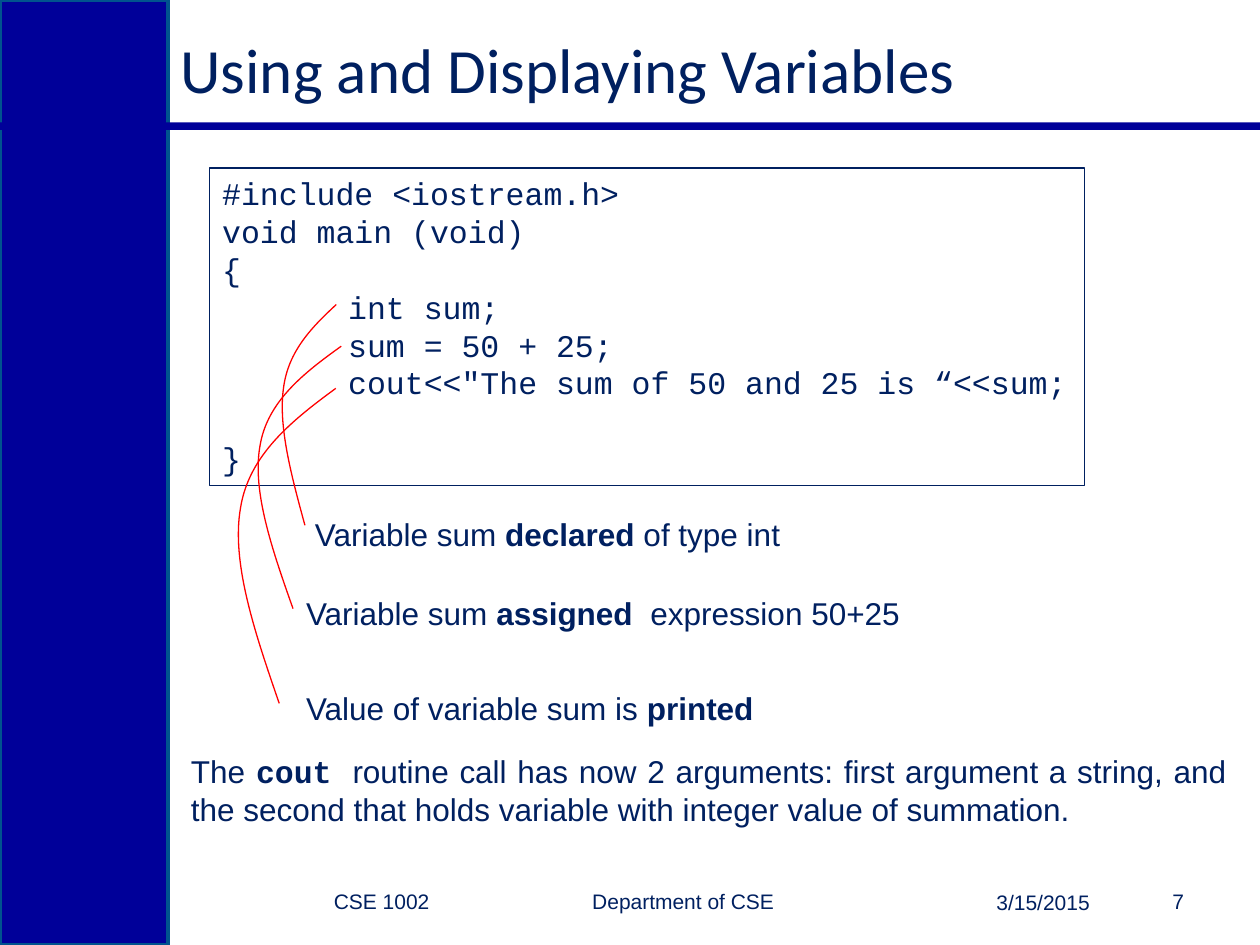
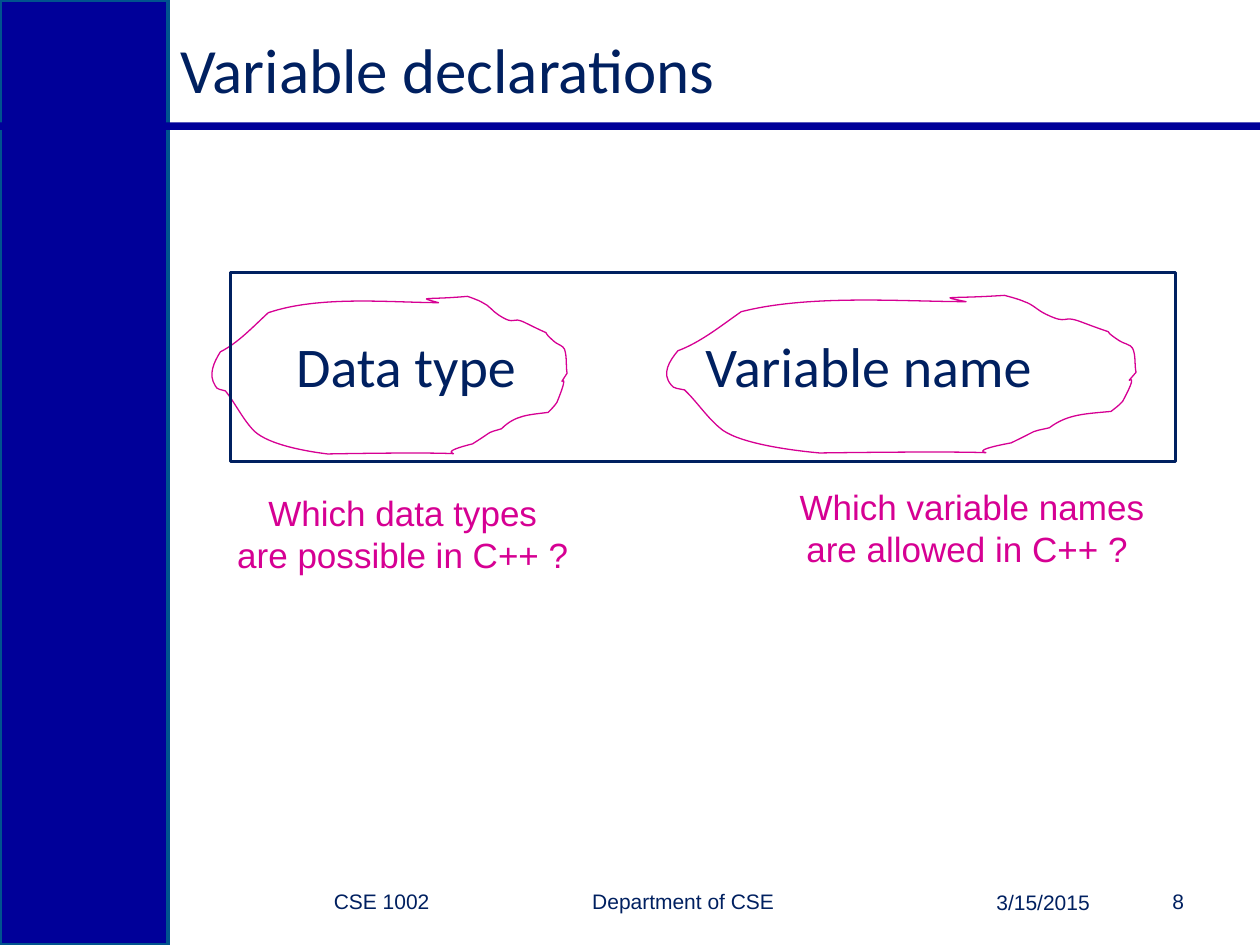
from pptx import Presentation
from pptx.dml.color import RGBColor
from pptx.enum.shapes import MSO_SHAPE
from pptx.enum.text import MSO_ANCHOR, MSO_AUTO_SIZE, PP_ALIGN
from pptx.oxml.ns import qn
from pptx.util import Cm, Pt
from lxml import etree

WHITE = RGBColor(0xFF, 0xFF, 0xFF)
BLUE = RGBColor(0x00, 0x00, 0x99)
EDGE = RGBColor(0x00, 0x53, 0x8E)
NAVY = RGBColor(0x00, 0x20, 0x60)
RED = RGBColor(0xFF, 0x00, 0x00)
PINK = RGBColor(0xD6, 0x00, 0x93)

# Text formats
TITLE = {"name": "Calibri", "size": Pt(36)}
TERMS = {"name": "Calibri", "size": Pt(32)}
BODY = {"name": "Arial", "size": Pt(18)}
STRONG = {**BODY, "bold": True}
CODE = {"name": "Courier New", "size": Pt(18)}
QUESTION = {"name": "Arial", "size": Pt(20)}
FOOTER = {"name": "Arial", "size": Pt(12)}

# Content; frames are left, top, width, height in cm
TITLES = ["Using and Displaying Variables", "Variable declarations"]
FIRST_NUMBER = 7
COURSE = "CSE 1002\tDepartment of CSE"
DATE = "3/15/2015"

PROGRAM = [
    "#include <iostream.h>",
    "void main (void)",
    "{",
    "\tint sum;",
    "\tsum = 50 + 25;",
    '\tcout<<"The sum of 50 and 25 is “<<sum;',
    "\t",
    "}",
]
NOTES = [
    ((6.1, 10.26, 18.87, 1.02),
     [("Variable sum ", BODY), ("declared", STRONG), (" of type int", BODY)]),
    ((5.92, 11.86, 12.52, 1.02),
     [("Variable sum ", BODY), ("assigned", STRONG), ("  expression 50+25", BODY)]),
    ((5.92, 13.77, 9.63, 1.02),
     [("Value of variable sum is ", BODY), ("printed", STRONG)]),
]
SUMMARY = [
    ("The ", BODY),
    ("cout ", {**CODE, "bold": True}),
    ("routine call has now 2 arguments: first argument a string, and the second "
     "that holds variable with integer value of summation.", BODY),
]
ARC_FRAMES = [(5.61, 6.14, 1.17, 4.45), (5.08, 6.98, 1.8, 5.29), (4.66, 7.83, 2.11, 6.35)]

DECLARATION = "Data type\tVariable name"
QUESTIONS = [
    ((4.5, 9.78, 7.44, 1.96), ["Which data types ", "are possible in C++ ? "]),
    ((15.77, 9.67, 7.65, 1.96), ["Which variable names ", "are allowed in C++ ? "]),
]
LOOP_FRAMES = [(4.19, 5.95, 7.37, 3.33), (13.33, 5.93, 9.74, 3.33)]

# Curves on their own grid: a start point, then two controls and an end per segment
ARC_GRID = (100, 100)
ARC = [(100, 0), (59, 10), (17, 21), (9, 38), (0, 55), (22, 77), (46, 100)]
LOOP_GRID = (290, 131)
LOOP = [
    (183, 6),
    (146, 6), (89, 0), (48, 14),
    (36, 25), (24, 38), (10, 45),
    (5, 53), (0, 63), (6, 72),
    (7, 75), (11, 75), (14, 76),
    (22, 86), (28, 99), (37, 108),
    (49, 119), (79, 124), (95, 126),
    (261, 123), (157, 131), (210, 118),
    (229, 106), (220, 110), (233, 106),
    (244, 95), (255, 95), (270, 93),
    (273, 90), (275, 88), (277, 85),
    (290, 53), (274, 79), (285, 62),
    (284, 56), (285, 49), (283, 43),
    (282, 40), (277, 39), (275, 37),
    (260, 24), (280, 36), (252, 22),
    (240, 16), (245, 25), (231, 16),
    (226, 13), (223, 8), (218, 6),
    (215, 4), (206, 1), (206, 1),
    (172, 4), (165, 1), (183, 6),
]


def style(shape, fill=None, line=None, width=0.75):
    shape.shadow.inherit = False
    if fill is None:
        shape.fill.background()
    else:
        shape.fill.solid()
        shape.fill.fore_color.rgb = fill
    if line is None:
        shape.line.fill.background()
    else:
        shape.line.color.rgb = line
        shape.line.width = Pt(width)


def add_rect(s, frame, **look):
    sp = s.shapes.add_shape(MSO_SHAPE.RECTANGLE, *map(Cm, frame))
    style(sp, **look)
    return sp


def write(sp, paragraphs, color=NAVY, align=PP_ALIGN.LEFT, anchor=MSO_ANCHOR.TOP,
          wrap=True, grow=False, tab=None):
    """Fill a shape with paragraphs, each a list of (text, format) runs."""
    tf = sp.text_frame
    tf.word_wrap = wrap
    tf.vertical_anchor = anchor
    if grow:
        tf.auto_size = MSO_AUTO_SIZE.SHAPE_TO_FIT_TEXT
    for i, runs in enumerate(paragraphs):
        p = tf.add_paragraph() if i else tf.paragraphs[0]
        p.alignment = align
        if tab:
            stops = etree.SubElement(p._p.get_or_add_pPr(), qn("a:tabLst"))
            etree.SubElement(stops, qn("a:tab"), pos=str(Cm(tab)), algn="l")
        for text, fmt in runs:
            r = p.add_run()
            r.text = text
            r.font.color.rgb = color
            for key, value in fmt.items():
                setattr(r.font, key, value)


def add_text(s, frame, paragraphs, **layout):
    write(s.shapes.add_textbox(*map(Cm, frame)), paragraphs, **layout)


def add_curve(s, frame, grid, points, color, close=False):
    """Draw a polygon through all points, then turn each three lines into a cubic."""
    left, top, width, height = frame
    start, *rest = [(Cm(left + x * width / grid[0]), Cm(top + y * height / grid[1]))
                    for x, y in points]
    builder = s.shapes.build_freeform(*start)
    builder.add_line_segments(rest, close=close)
    sp = builder.convert_to_shape()
    style(sp, line=color)
    lines = list(sp._element.iter(qn("a:lnTo")))
    for i in range(0, len(lines), 3):
        cubic = etree.Element(qn("a:cubicBezTo"))
        lines[i].addprevious(cubic)
        for line in lines[i:i + 3]:
            cubic.append(line[0])
            line.getparent().remove(line)


def add_base(prs, title, number):
    """Add a slide with the side band, rule, title and footer."""
    s = prs.slides.add_slide(prs.slide_layouts[6])
    s.background.fill.solid()
    s.background.fill.fore_color.rgb = WHITE
    add_rect(s, (0, 0, 3.39, 19.05), fill=BLUE, line=EDGE, width=2)
    add_rect(s, (0, 2.47, 25.4, 0.15), fill=BLUE)
    middle = {"anchor": MSO_ANCHOR.MIDDLE}
    add_text(s, (3.39, 0.43, 19.9, 1.9), [[(title, TITLE)]], **middle)
    add_text(s, (6.48, 17.65, 9.4, 1.02), [[(COURSE, FOOTER)]], tab=5.21, **middle)
    for frame, text in [((22.22, 17.65, 1.9, 1.02), str(number)),
                        ((17.78, 17.68, 4.44, 1.02), DATE)]:
        add_text(s, frame, [[(text, FOOTER)]], align=PP_ALIGN.RIGHT, **middle)
    return s


def add_program(s):
    box = add_rect(s, (4.23, 3.39, 17.63, 6.4), line=NAVY)
    write(box, [[(line, CODE)] for line in PROGRAM], wrap=False, grow=True, tab=2.54)
    for frame, runs in NOTES:
        add_text(s, frame, [runs], grow=True)
    for frame in ARC_FRAMES:
        add_curve(s, frame, ARC_GRID, ARC, RED)
    add_text(s, (3.6, 15.03, 21.38, 1.8), [SUMMARY], align=PP_ALIGN.JUSTIFY, grow=True)


def add_declaration(s):
    add_text(s, (5.72, 6.56, 18.85, 3.18), [[(DECLARATION, TERMS)]], tab=8.25)
    for frame in LOOP_FRAMES:
        add_curve(s, frame, LOOP_GRID, LOOP, PINK, close=True)
    for frame, lines in QUESTIONS:
        add_text(s, frame, [[(line, QUESTION)] for line in lines],
                 color=PINK, align=PP_ALIGN.CENTER, wrap=False, grow=True)
    add_rect(s, (4.65, 5.5, 19.05, 3.81), line=NAVY, width=1.75)


def main():
    prs = Presentation()
    prs.slide_width, prs.slide_height = Cm(25.4), Cm(19.05)
    for i, add_content in enumerate([add_program, add_declaration]):
        add_content(add_base(prs, TITLES[i], FIRST_NUMBER + i))
    prs.save("out.pptx")


if __name__ == "__main__":
    main()
